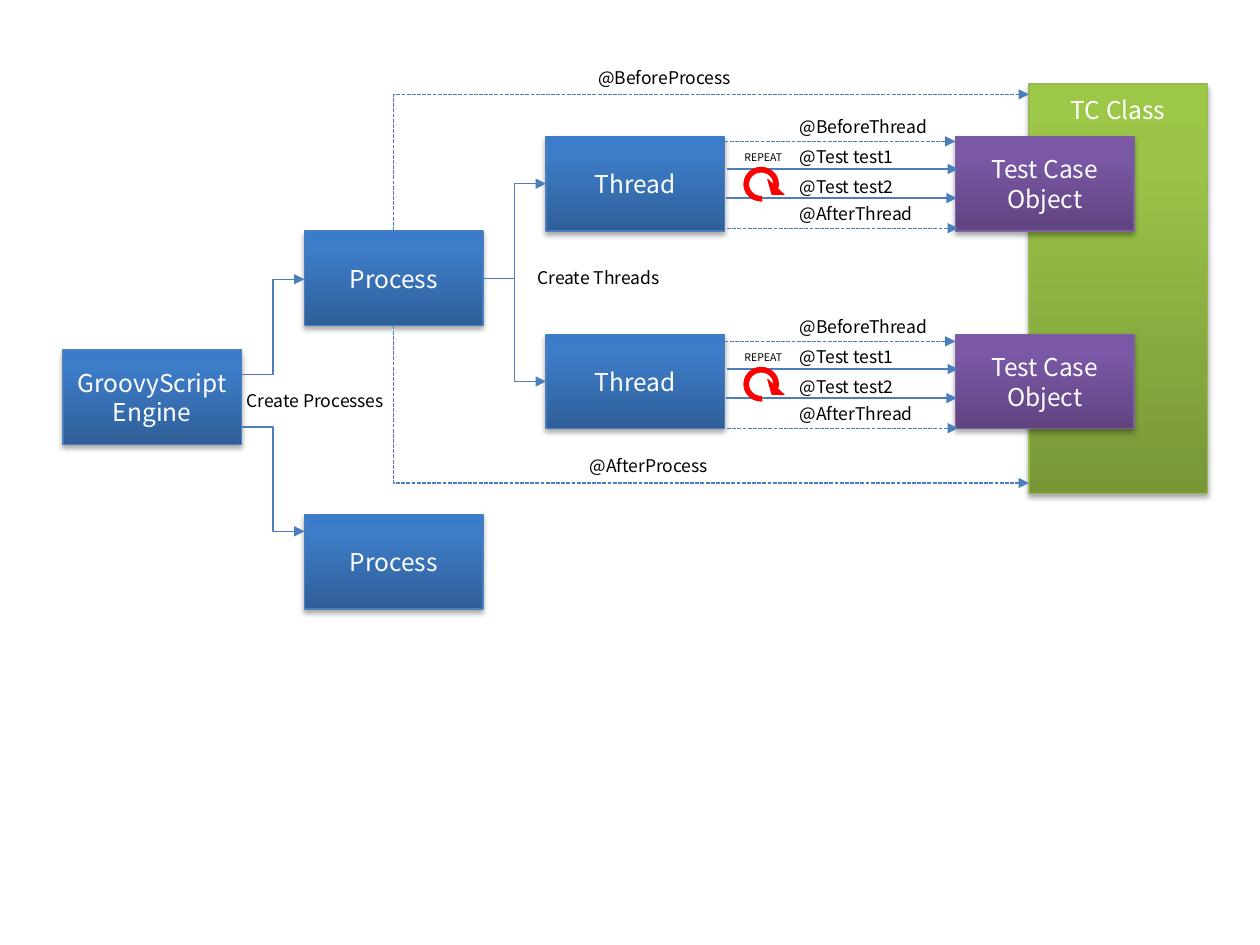
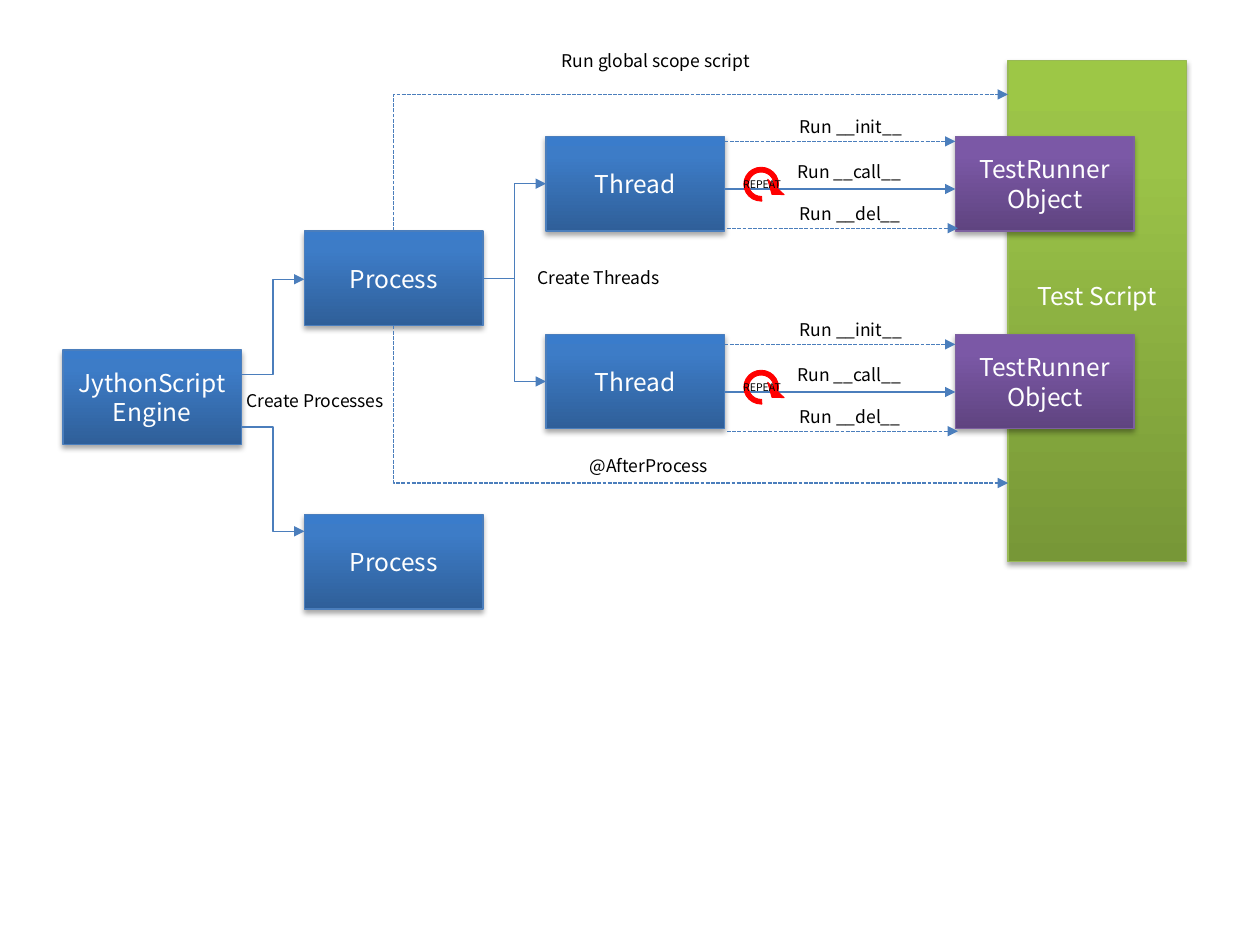
from copy import deepcopy
from dataclasses import dataclass

from lxml.etree import SubElement
from pptx import Presentation
from pptx.dml.color import RGBColor
from pptx.enum.dml import MSO_LINE
from pptx.enum.shapes import MSO_CONNECTOR as LINK, MSO_SHAPE as SHAPE
from pptx.enum.text import MSO_ANCHOR as ANCHOR, MSO_AUTO_SIZE as AUTO, PP_ALIGN as ALIGN
from pptx.oxml.ns import qn
from pptx.util import Pt


@dataclass(frozen=True)
class Theme:
    """Colours and type shared by both slides; tones are gradient stops, then outline."""
    font: str = "Noto Sans CJK KR"
    box_size: int = 14
    label_size: int = 10
    repeat_size: int = 6
    blue: tuple = ("2F5F99", "3D7CC7", "3A7CCB", "4B7EBC")
    purple: tuple = ("5F4480", "7B58A6", "7C57A8", "7D60A0")
    green: tuple = ("779737", "9BC348", "9DC746", "98B955")
    arrow: str = "4B7EBC"
    repeat: str = "FF0000"
    light: str = "FFFFFF"
    dark: str = "000000"
    stops: tuple = (0, 0.8, 1)


@dataclass(frozen=True)
class Call:
    """One arrow from a thread to its object, placed relative to the lane top."""
    text: str
    label_x: float
    label_y: float
    arrow_x: float
    arrow_y: float
    dashed: bool = False


@dataclass(frozen=True)
class Diagram:
    """What differs between the two engine diagrams."""
    engine: str
    target: str
    target_box: tuple
    target_anchor: ANCHOR
    target_margins: tuple
    runner: str
    calls: tuple
    lane_step: float
    repeat_at: tuple
    before: str
    before_box: tuple


THEME = Theme()
BOX_W, BOX_H = 102, 54
LABEL_W, LABEL_H = 114, 19.5
ENGINE_X, PROCESS_X, THREAD_X, RUNNER_X = 36, 174, 312, 546
ENGINE_Y, LANE_Y = 200, 78
PROCESS_YS = (132, 294)
THREAD_YS = (78, 191)
CALL_LENGTH = 132
BEFORE_Y, AFTER_Y = 54, 276

DIAGRAMS = (
    Diagram(
        engine="GroovyScript Engine",
        target="TC Class", target_box=(588, 48, BOX_W, 234),
        target_anchor=ANCHOR.TOP, target_margins=(6, 3.6),
        runner="Test Case Object",
        calls=(
            Call("@BeforeThread", 450, -15.4, 414, 2.8, True),
            Call("@AfterThread", 450, 34.3, 415.5, 52.4, True),
            Call("@Test test1", 450, 2, 415.5, 18.6),
            Call("@Test test2", 450, 18.9, 414.7, 35.2),
        ),
        lane_step=114.3, repeat_at=(418.3, 4.8),
        before="@BeforeProcess", before_box=(334.8, 34.6, LABEL_W, LABEL_H),
    ),
    Diagram(
        engine="JythonScript Engine",
        target="Test Script", target_box=(576, 34.5, BOX_W, 286.5),
        target_anchor=ANCHOR.MIDDLE, target_margins=(3.6, 20.6),
        runner="TestRunner\vObject",
        calls=(
            Call("Run __init__", 450, -15.4, 414, 2.8, True),
            Call("Run __del__", 450, 34.3, 415.5, 52.4, True),
            Call("Run __call__", 448.6, 10.6, 414, 30),
        ),
        lane_step=116, repeat_at=(417.6, 20),
        before="Run global scope script", before_box=(314, 25.2, 211.7, LABEL_H),
    ),
)


def rgb(code):
    """Return a colour from its hex code."""
    return RGBColor.from_string(code)


def points(*lengths):
    """Convert numbers to point lengths."""
    return [Pt(length) for length in lengths]


def write(frame, text, size, color, align):
    """Fill a text frame with one wrapped paragraph."""
    frame.word_wrap = True
    frame.text = text
    paragraph = frame.paragraphs[0]
    paragraph.alignment = align
    paragraph.font.name = THEME.font
    paragraph.font.size = Pt(size)
    paragraph.font.color.rgb = rgb(color)


def add_soft_shadow(box):
    """Cast a faint shadow straight down."""
    box.shadow.inherit = False
    effects = box._element.spPr.find(qn("a:effectLst"))
    shadow = SubElement(effects, qn("a:outerShdw"), blurRad=str(Pt(3.1)),
                        dist=str(Pt(1.8)), dir="5400000", rotWithShape="0")
    black = SubElement(shadow, qn("a:srgbClr"), val=THEME.dark)
    SubElement(black, qn("a:alpha"), val="35000")


def add_box(slide, text, bounds, tone, anchor=ANCHOR.MIDDLE, margins=(3.6, 3.6)):
    """Draw a gradient box with centred light text."""
    box = slide.shapes.add_shape(SHAPE.RECTANGLE, *points(*bounds))
    box.fill.gradient()
    box.fill.gradient_angle = 90
    stop_list = box._element.spPr.find(".//" + qn("a:gsLst"))
    stop_list.append(deepcopy(stop_list[-1]))
    *shades, outline = tone
    for stop, shade, position in zip(box.fill.gradient_stops, shades, THEME.stops):
        stop.color.rgb = rgb(shade)
        stop.position = position
    box.line.color.rgb = rgb(outline)
    box.line.width = Pt(0.75)
    add_soft_shadow(box)
    frame = box.text_frame
    write(frame, text, THEME.box_size, THEME.light, ALIGN.CENTER)
    frame.vertical_anchor = anchor
    frame.margin_top, frame.margin_bottom = points(*margins)


def add_label(slide, text, x, y, width=LABEL_W, height=LABEL_H, size=THEME.label_size):
    """Write a small dark caption."""
    frame = slide.shapes.add_textbox(*points(x, y, width, height)).text_frame
    write(frame, text, size, THEME.dark, ALIGN.LEFT)
    frame.auto_size = AUTO.SHAPE_TO_FIT_TEXT


def add_arrow(slide, start, end, kind=LINK.STRAIGHT, width=0.75, dashed=False):
    """Draw a connector with a triangle at its end."""
    arrow = slide.shapes.add_connector(kind, *points(*start, *end))
    arrow.line.color.rgb = rgb(THEME.arrow)
    arrow.line.width = Pt(width)
    if dashed:
        arrow.line.dash_style = MSO_LINE.SQUARE_DOT
    properties = arrow._element.spPr
    SubElement(properties.find(qn("a:ln")), qn("a:tailEnd"), type="triangle")
    SubElement(properties, qn("a:effectLst"))
    return arrow


def add_corner_arrow(slide, start, end):
    """Draw a dashed arrow that runs vertically, then turns right once."""
    (x1, y1), (x2, y2) = start, end
    middle_x, middle_y = (x1 + x2) / 2, (y1 + y2) / 2
    half_w, half_h = abs(y2 - y1) / 2, (x2 - x1) / 2
    rises = y2 < y1
    if rises:
        half_h = -half_h
    # The connector turns about its middle, so its frame has the sides swapped.
    arrow = add_arrow(slide, (middle_x + half_w, middle_y - half_h),
                      (middle_x - half_w, middle_y + half_h), LINK.ELBOW, dashed=True)
    properties = arrow._element.spPr
    properties.find(qn("a:prstGeom")).set("prst", "bentConnector2")
    properties.find(qn("a:xfrm")).set("rot", str((90 if rises else 270) * 60000))


def add_repeat_mark(slide, top, label_at):
    """Draw the red loop arrow and its caption."""
    loop = slide.shapes.add_shape(SHAPE.CIRCULAR_ARROW, *points(420, top, 30, 29.5))
    for index, value in enumerate((0.092, 19.46, 6.396, 52.602, 0.218)):
        loop.adjustments[index] = value
    loop.fill.solid()
    loop.fill.fore_color.rgb = rgb(THEME.repeat)
    loop.line.color.rgb = rgb(THEME.repeat)
    loop.line.width = Pt(0.5)
    loop.shadow.inherit = False
    add_label(slide, "REPEAT", *label_at, 46.8, 14.4, THEME.repeat_size)


def add_lane(slide, diagram, top):
    """Draw the calls from one thread to its object."""
    for call in diagram.calls:
        y = top + call.arrow_y
        add_arrow(slide, (call.arrow_x, y), (call.arrow_x + CALL_LENGTH, y),
                  width=0.75 if call.dashed else 1.5, dashed=call.dashed)
        add_label(slide, call.text, call.label_x, top + call.label_y)
    repeat_x, repeat_y = diagram.repeat_at
    add_repeat_mark(slide, top + 12.5, (repeat_x, top + repeat_y))


def add_boxes(slide, diagram):
    """Draw every box, with the target behind the others."""
    add_box(slide, diagram.target, diagram.target_box, THEME.green,
            diagram.target_anchor, diagram.target_margins)
    add_box(slide, diagram.engine, (ENGINE_X, ENGINE_Y, BOX_W, BOX_H), THEME.blue)
    columns = (
        ("Process", PROCESS_X, PROCESS_YS, THEME.blue),
        ("Thread", THREAD_X, THREAD_YS, THEME.blue),
        (diagram.runner, RUNNER_X, THREAD_YS, THEME.purple),
    )
    for text, x, tops, tone in columns:
        for top in tops:
            add_box(slide, text, (x, top, BOX_W, BOX_H), tone)


def add_creation_links(slide):
    """Link the engine to its processes and a process to its threads."""
    engine_right, process_right = ENGINE_X + BOX_W, PROCESS_X + BOX_W
    process_middle = PROCESS_YS[0] + BOX_H / 2
    for start_y, end_y in ((214, 159.6), (244, 303.6)):
        add_arrow(slide, (engine_right, start_y), (PROCESS_X, end_y), LINK.ELBOW)
    for top in THREAD_YS:
        add_arrow(slide, (process_right, process_middle),
                  (THREAD_X, top + BOX_H / 2), LINK.ELBOW)
    add_label(slide, "Create Processes", 134, 219.4)
    add_label(slide, "Create Threads", 300, 149)


def add_process_calls(slide, diagram):
    """Draw the calls made before and after a process."""
    center, target_left = PROCESS_X + BOX_W / 2, diagram.target_box[0]
    top = PROCESS_YS[0]
    add_corner_arrow(slide, (center, top), (target_left, BEFORE_Y))
    add_corner_arrow(slide, (center, top + BOX_H), (target_left, AFTER_Y))
    add_label(slide, diagram.before, *diagram.before_box)
    add_label(slide, "@AfterProcess", 330, 256.5)


def add_diagram(deck, diagram):
    """Build one slide."""
    slide = deck.slides.add_slide(deck.slide_layouts[6])
    add_boxes(slide, diagram)
    for lane in range(len(THREAD_YS)):
        add_lane(slide, diagram, LANE_Y + lane * diagram.lane_step)
    add_process_calls(slide, diagram)
    add_creation_links(slide)


def main():
    """Build and save the deck."""
    deck = Presentation()
    deck.slide_width, deck.slide_height = points(720, 540)
    for diagram in DIAGRAMS:
        add_diagram(deck, diagram)
    deck.save("out.pptx")


main()
